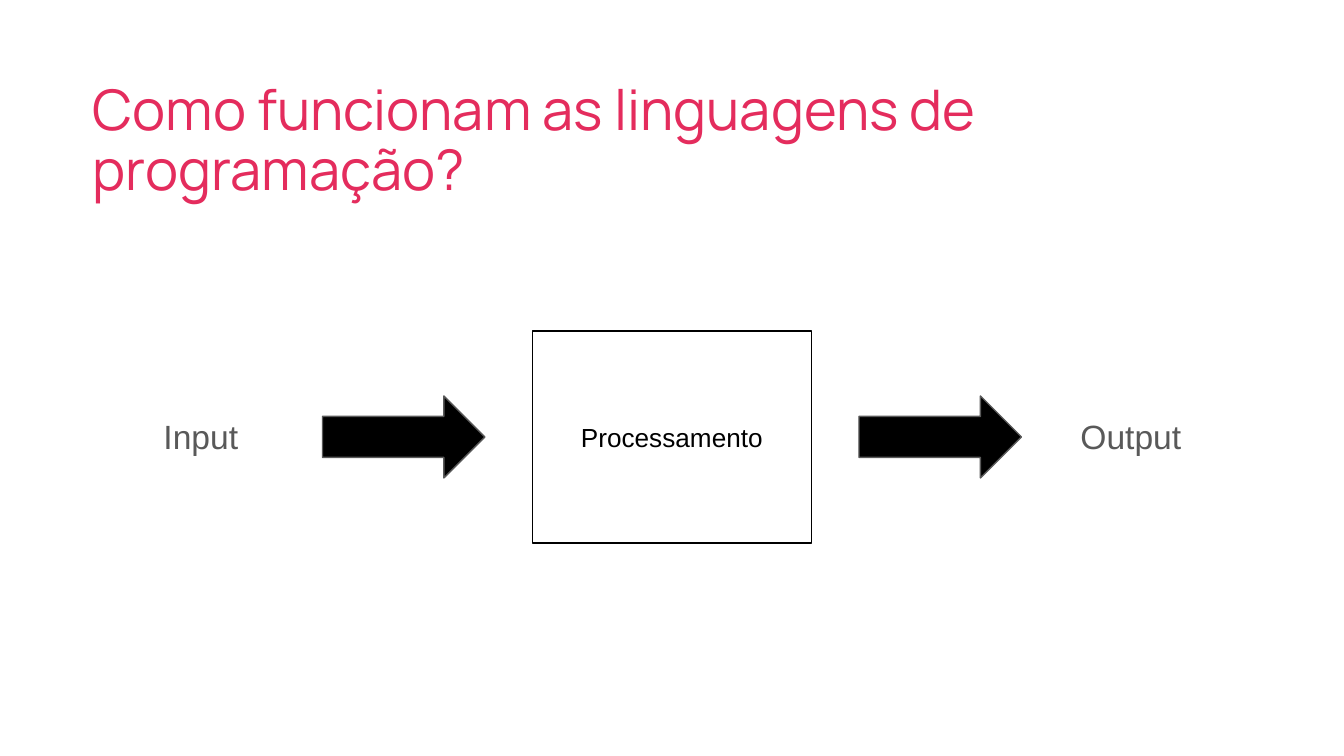
from dataclasses import dataclass

from pptx import Presentation
from pptx.dml.color import RGBColor
from pptx.enum.shapes import MSO_SHAPE as Preset
from pptx.enum.text import MSO_ANCHOR as Anchor, MSO_AUTO_SIZE as AutoSize, PP_ALIGN as Align
from pptx.shapes.autoshape import Shape
from pptx.slide import Slide
from pptx.util import Cm, Pt

COLORS = {"title": "E42C5D", "black": "000000", "white": "FFFFFF", "gray": "595959"}
CENTER_X, CENTER_Y = 12.7, 8.26
ARROW_OFFSET = 5.07


@dataclass(frozen=True)
class Box:
    left: float
    top: float
    width: float
    height: float


@dataclass(frozen=True)
class TextStyle:
    size: float
    color: str
    font: str = "Arial"
    align: Align = Align.LEFT
    anchor: Anchor = Anchor.TOP
    auto_size: AutoSize = AutoSize.SHAPE_TO_FIT_TEXT
    line_spacing: float = 1.0


TITLE_STYLE = TextStyle(30, "title", "Manrope", anchor=Anchor.BOTTOM, line_spacing=0.9)
PROCESS_STYLE = TextStyle(14, "black", align=Align.CENTER, anchor=Anchor.MIDDLE, auto_size=AutoSize.NONE)
LABEL_STYLE = TextStyle(18, "gray")
LABELS = {"Input": Box(2.84, 7.62, 2.08, 1.27), "Output": Box(20.17, 7.62, 3.07, 1.27)}


def color(name: str) -> RGBColor:
    return RGBColor.from_string(COLORS[name])


def centered(offset: float, width: float, height: float) -> Box:
    return Box(CENTER_X + offset - width / 2, CENTER_Y - height / 2, width, height)


def lengths(box: Box) -> tuple[Cm, Cm, Cm, Cm]:
    return Cm(box.left), Cm(box.top), Cm(box.width), Cm(box.height)


def write(shape: Shape, text: str, style: TextStyle) -> None:
    frame = shape.text_frame
    frame.word_wrap = True
    frame.auto_size = style.auto_size
    frame.vertical_anchor = style.anchor
    frame.margin_left = frame.margin_right = frame.margin_top = frame.margin_bottom = Cm(0.25)
    paragraph = frame.paragraphs[0]
    paragraph.alignment = style.align
    paragraph.line_spacing = style.line_spacing
    run = paragraph.add_run()
    run.text = text
    run.font.name = style.font
    run.font.size = Pt(style.size)
    run.font.color.rgb = color(style.color)


def draw_shape(slide: Slide, preset: Preset, box: Box, fill: str, line: str) -> Shape:
    shape = slide.shapes.add_shape(preset, *lengths(box))
    shape.shadow.inherit = False
    shape.fill.solid()
    shape.fill.fore_color.rgb = color(fill)
    shape.line.color.rgb = color(line)
    shape.line.width = Pt(0.75)
    return shape


def draw_title(slide: Slide, text: str, box: Box) -> None:
    title = slide.shapes.title
    title.left, title.top, title.width, title.height = lengths(box)
    write(title, text, TITLE_STYLE)


def main() -> None:
    """Build the slide on how programming languages work."""
    presentation = Presentation()
    presentation.slide_width, presentation.slide_height = Cm(25.4), Cm(14.29)
    slide = presentation.slides.add_slide(presentation.slide_layouts[5])

    draw_title(slide, "Como funcionam as linguagens de programação?", Box(1.5, 1.02, 22.63, 3.07))
    process = draw_shape(slide, Preset.RECTANGLE, centered(0, 5.28, 4.01), "white", "black")
    write(process, "Processamento", PROCESS_STYLE)
    for offset in (-ARROW_OFFSET, ARROW_OFFSET):
        draw_shape(slide, Preset.RIGHT_ARROW, centered(offset, 3.07, 1.55), "black", "gray")
    for text, box in LABELS.items():
        write(slide.shapes.add_textbox(*lengths(box)), text, LABEL_STYLE)

    presentation.save("out.pptx")


if __name__ == "__main__":
    main()
